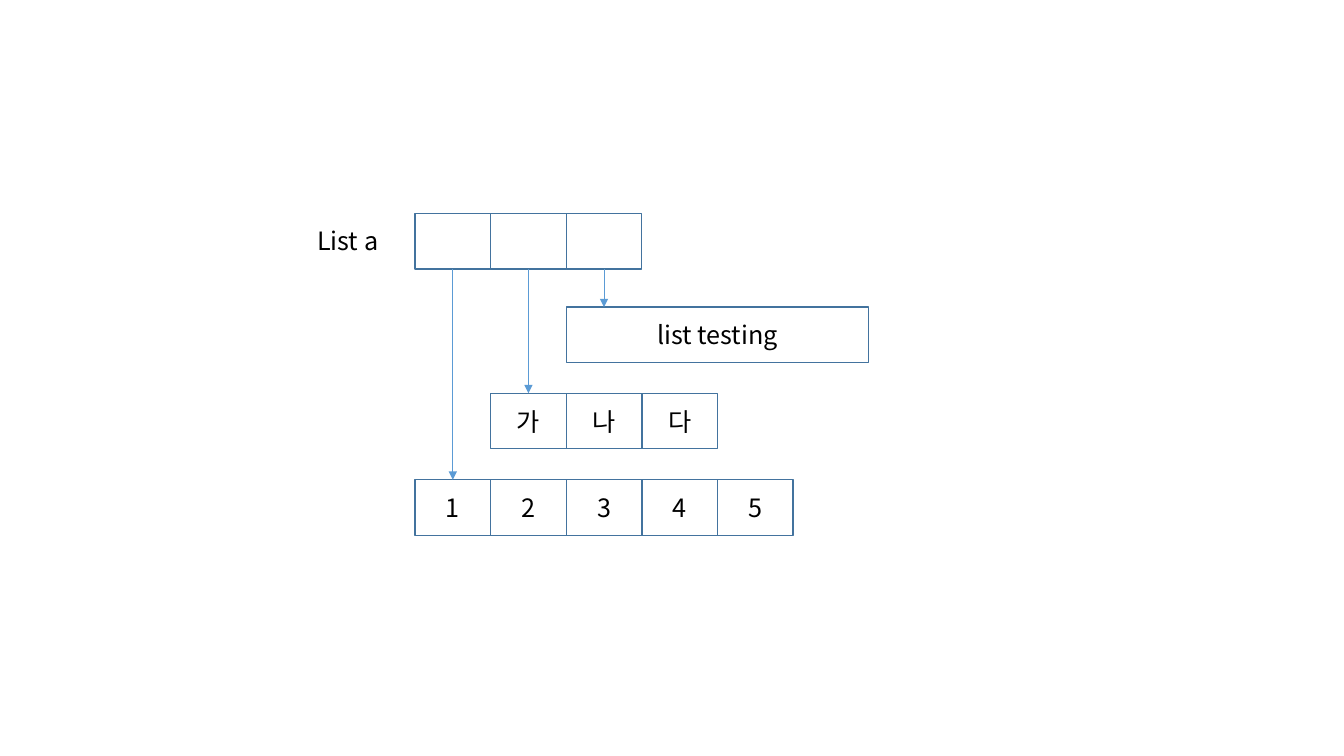
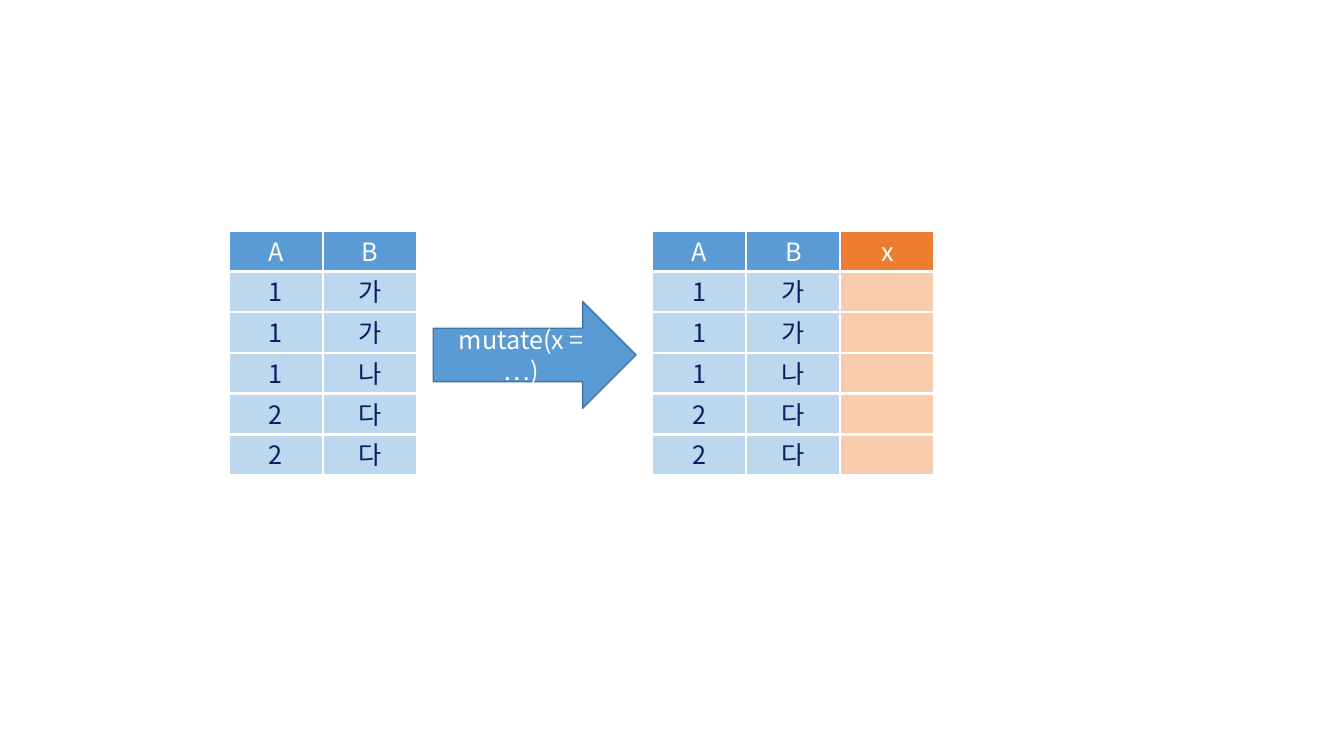
from lxml import etree
from pptx import Presentation
from pptx import util as u
from pptx.dml import color
from pptx.enum import shapes, text
from pptx.oxml import ns

FONT = "Noto Sans CJK KR"
BLACK, WHITE, NAVY = "000000", "FFFFFF", "002060"
BLUE, OUTLINE, PALE_BLUE = "5B9BD5", "43739E", "BDD7EE"
ORANGE, PALE_ORANGE = "ED7D31", "F8CBAD"
RECT = shapes.MSO_SHAPE.RECTANGLE


def rgb(value):
    return color.RGBColor.from_string(value)


def style(sp, words, ink, fill=None, line=None, width=1):
    sp.shadow.inherit = False
    if fill:
        sp.fill.solid()
        sp.fill.fore_color.rgb = rgb(fill)
    else:
        sp.fill.background()
    if line:
        sp.line.color.rgb = rgb(line)
        sp.line.width = u.Pt(width)
    if not words:
        return
    tf = sp.text_frame
    tf.word_wrap = True
    tf.vertical_anchor = text.MSO_ANCHOR.MIDDLE
    p = tf.paragraphs[0]
    p.alignment = text.PP_ALIGN.CENTER
    r = p.add_run()
    r.text = words
    for name, value in {"name": FONT, "size": u.Pt(18)}.items():
        setattr(r.font, name, value)
    r.font.color.rgb = rgb(ink)
    rPr = r.font._element
    etree.SubElement(rPr, ns.qn("a:ea"), typeface=FONT)
    if words in ("B", "x"):
        rPr.set("spc", "-150")


prs = Presentation()
prs.slide_width, prs.slide_height = u.Cm(33.87), u.Cm(19.05)
blank = prs.slide_layouts[6]

s = prs.slides.add_slide(blank)
left, top, box_h = 10.46, 5.38, 1.4
box_w = 7.62 / 4
rows = [
    (0, top, 1, ["", "", ""]),
    (0, 12.09, 1, ["1", "2", "3", "4", "5"]),
    (1, 9.91, 1, ["가", "나", "다"]),
    (2, 7.74, 4, ["list testing"]),
]
drawn = []
for start, y, span, words in rows:
    boxes = []
    for i, word in enumerate(words):
        sp = s.shapes.add_shape(
            RECT, u.Cm(left + (start + i) * box_w), u.Cm(y), u.Cm(span * box_w), u.Cm(box_h))
        style(sp, word, BLACK, line=OUTLINE)
        boxes.append(sp)
    drawn.append(boxes)

sp = s.shapes.add_textbox(u.Cm(7.52), u.Cm(5.56), u.Cm(2.49), u.Cm(1.02))
style(sp, "List a", BLACK)

for source, target in zip(drawn[0], drawn[1:]):
    x = source.left + source.width // 2
    c = s.shapes.add_connector(
        shapes.MSO_CONNECTOR.STRAIGHT, x, source.top + source.height, x, target[0].top)
    c.begin_connect(source, 2)
    if len(target) > 1:
        c.end_connect(target[0], 0)
    c.line.color.rgb = rgb(BLUE)
    c.line.width = u.Pt(0.5)
    spPr = c.element.spPr
    etree.SubElement(spPr.find(ns.qn("a:ln")), ns.qn("a:tailEnd"), type="triangle")
    etree.SubElement(spPr, ns.qn("a:effectLst"))

s = prs.slides.add_slide(blank)
col_w, row_h = 2.37, 1.02
row_step = 5.13 / 5
before = [("A", "B"), ("1", "가"), ("1", "가"), ("1", "나"), ("2", "다"), ("2", "다")]
after = [row + (("x",) if i == 0 else ("",)) for i, row in enumerate(before)]
for x, data in [(5.77, before), (16.44, after)]:
    for i, row in enumerate(data):
        for j, word in enumerate(row):
            head, body = (ORANGE, PALE_ORANGE) if j == 2 else (BLUE, PALE_BLUE)
            sp = s.shapes.add_shape(
                RECT, u.Cm(x + j * col_w), u.Cm(5.82 + i * row_step), u.Cm(col_w), u.Cm(row_h))
            style(sp, word, NAVY if i else WHITE, body if i else head, WHITE, 1.5)

sp = s.shapes.add_shape(
    shapes.MSO_SHAPE.RIGHT_ARROW, u.Cm(10.92), u.Cm(7.6), u.Cm(5.11), u.Cm(2.69))
style(sp, "mutate(x = …)", WHITE, BLUE, OUTLINE)

prs.save("out.pptx")
